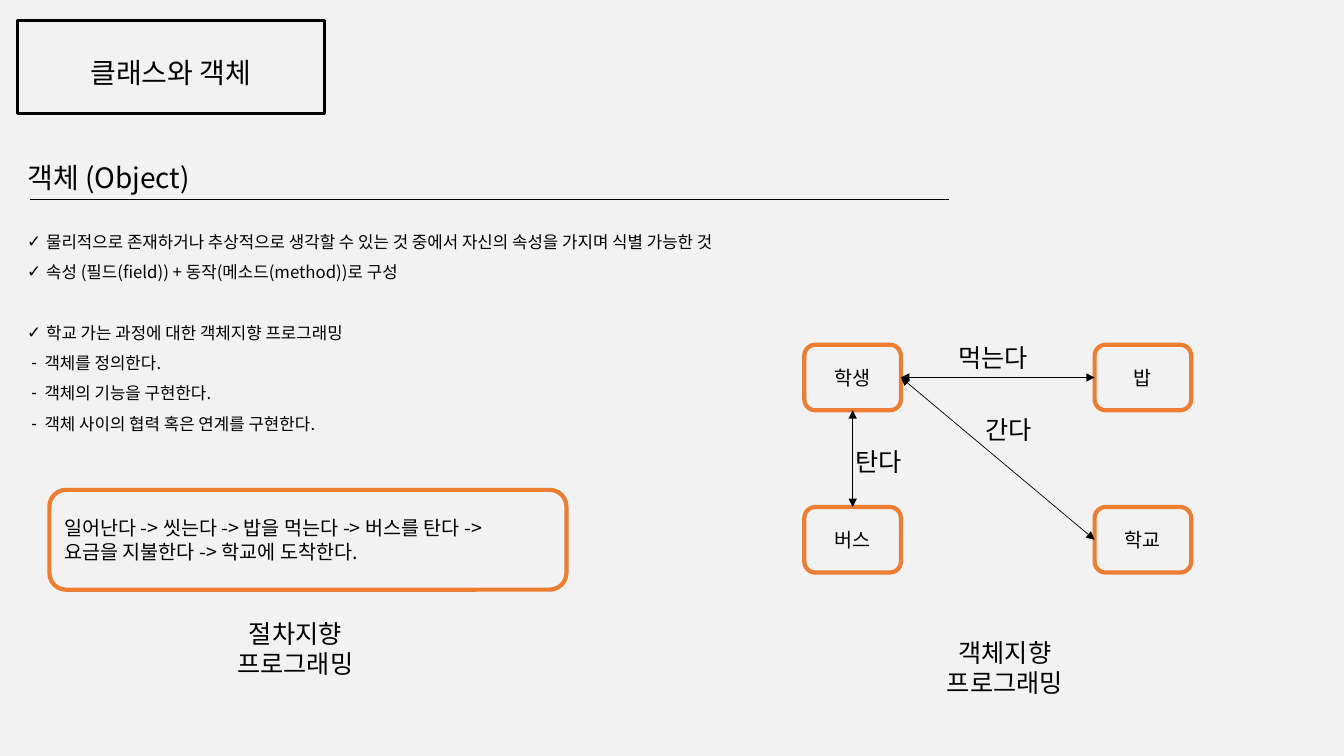
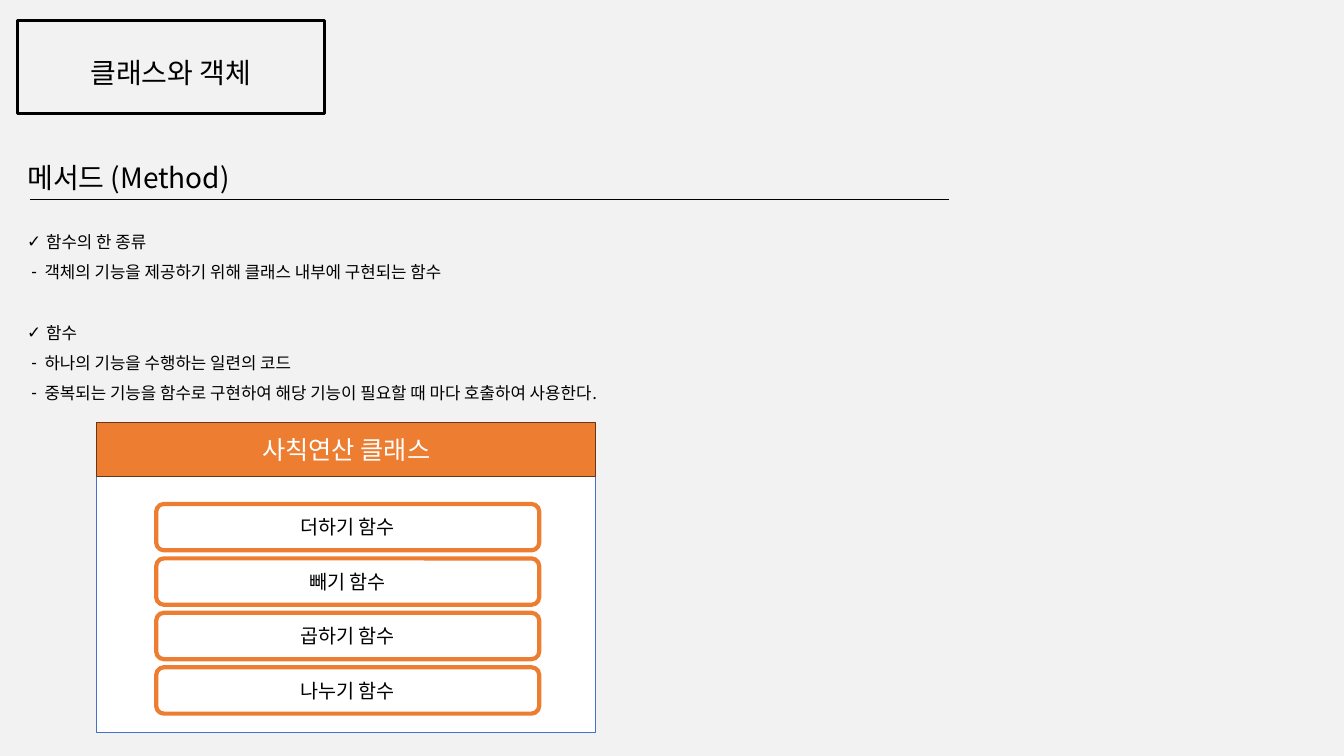
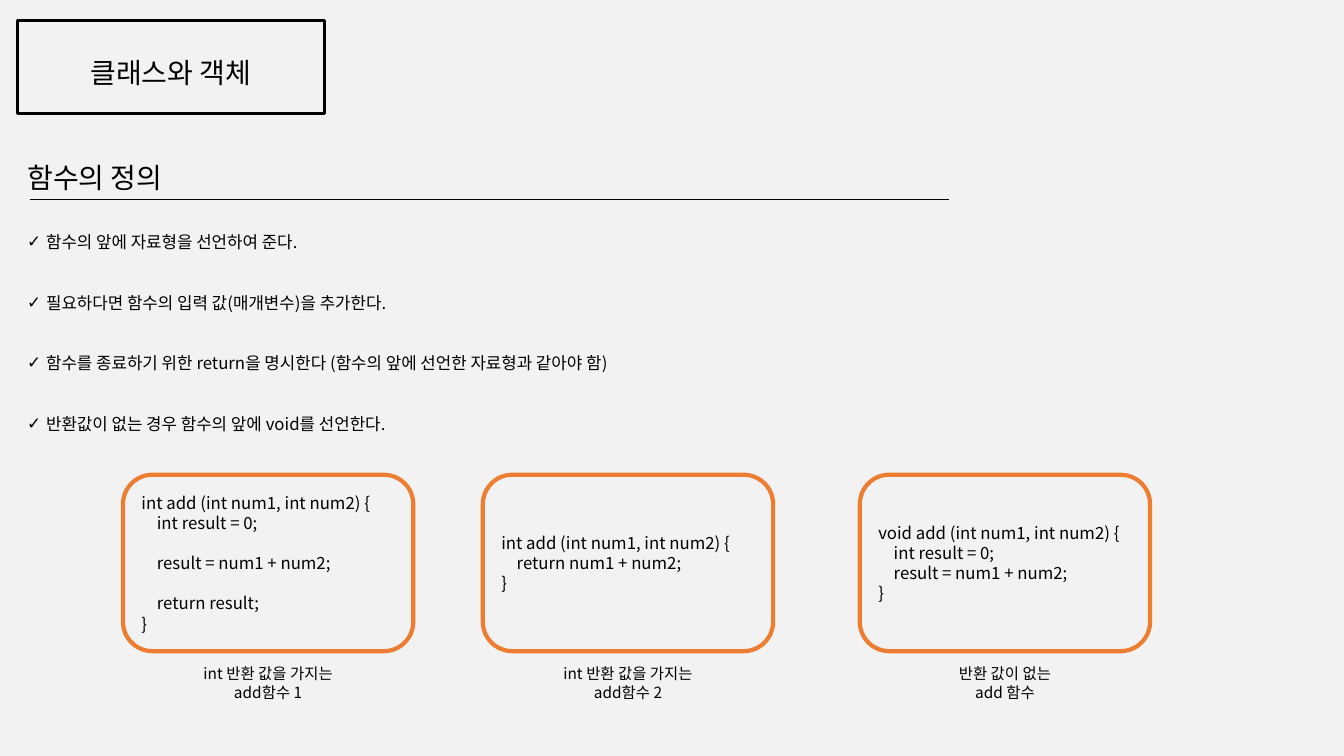
from dataclasses import dataclass
from pptx import Presentation
from pptx.dml.color import RGBColor as RGB
from pptx.enum.shapes import MSO_CONNECTOR as CONN, MSO_SHAPE as SHAPE
from pptx.enum.text import MSO_ANCHOR as ANCHOR, MSO_AUTO_SIZE as AUTO, PP_ALIGN as ALIGN
from pptx.oxml.ns import qn
from pptx.util import Pt
from lxml.etree import SubElement


@dataclass(frozen=True)
class Theme:
    font: str = "Noto Sans CJK KR"
    ink: str = "000000"
    paper: str = "F2F2F2"
    white: str = "FFFFFF"
    accent: str = "ED7D31"
    accent_dark: str = "683715"
    blue: str = "4472C4"
    heading: int = 20
    label: int = 18
    node: int = 14
    body: int = 12
    caption: int = 11
    leading: float = 1.2


class Deck:
    SECTION = "클래스와 객체"

    def __init__(self, theme):
        self.t = theme
        self.prs = Presentation()
        self.prs.slide_width, self.prs.slide_height = Pt(960), Pt(540)
        fill = self.prs.slide_master.background.fill
        fill.solid()
        fill.fore_color.rgb = RGB.from_string(theme.paper)
        self.s = None

    def slide(self, topic, items):
        self.s = self.prs.slides.add_slide(self.prs.slide_layouts[1])
        title, body = self.s.placeholders
        self.place(title, 12.24, 110.88, 240.48, 31.68)
        self.set_text(title.text_frame, [topic], self.t.heading, anchor=ANCHOR.TOP)
        self.place(body, 12.24, 154.8, 680.4, 180)
        self.bullets(body.text_frame, items)
        sp = self.box(12.24, 14.4, 219.6, 66.96, [self.SECTION], self.t.heading,
                      shape=SHAPE.RECTANGLE, line=self.t.ink, weight=2)
        sp.text_frame.margin_top, sp.text_frame.margin_bottom = Pt(12), Pt(4)
        self.line(21.6, 142.56, 678.24, 142.56, 1.25)

    def place(self, sp, x, y, w, h):
        sp.left, sp.top, sp.width, sp.height = Pt(x), Pt(y), Pt(w), Pt(h)

    def set_text(self, tf, lines, size, align=ALIGN.LEFT, anchor=ANCHOR.MIDDLE,
                 color=None, spacing=1):
        tf.word_wrap = True
        tf.auto_size = AUTO.NONE
        tf.vertical_anchor = anchor
        tf.text = "\n".join(text.strip() for text in lines if text)
        gap = 0
        paragraphs = iter(tf.paragraphs)
        for text in lines:
            if not text:
                gap += size * self.t.leading * spacing
                continue
            p = next(paragraphs)
            p.alignment = align
            p.line_spacing = spacing
            p.space_before, p.space_after = Pt(gap), Pt(0)
            gap = 0
            if text.startswith(" "):
                p._p.get_or_add_pPr().set("marL", str(Pt(11)))
            for r in p.runs:
                r.font.size = Pt(size)
                r.font.name = self.t.font
                r.font.color.rgb = RGB.from_string(color or self.t.ink)
                SubElement(r._r.rPr, qn("a:ea"), typeface=self.t.font)

    def bullets(self, tf, items):
        self.set_text(tf, [text.removeprefix("- ") for text in items], self.t.body,
                      ALIGN.JUSTIFY, ANCHOR.TOP, spacing=1.5)
        for text, p in zip(filter(None, items), tf.paragraphs):
            char, margin, hang = ("-", 12.4, 9.4) if text.startswith("- ") else ("✓", 13.5, 13.5)
            pPr = p._p.get_or_add_pPr()
            pPr.set("marL", str(Pt(margin)))
            pPr.set("indent", str(Pt(-hang)))
            SubElement(pPr, qn("a:buChar"), char=char)

    def text(self, x, y, w, h, lines, size, align=ALIGN.LEFT):
        sp = self.s.shapes.add_textbox(Pt(x), Pt(y), Pt(w), Pt(h))
        self.set_text(sp.text_frame, lines, size, align, ANCHOR.TOP)

    def box(self, x, y, w, h, lines=(), size=None, align=ALIGN.CENTER, color=None,
            shape=SHAPE.ROUNDED_RECTANGLE, fill=None, line=None, weight=3):
        sp = self.s.shapes.add_shape(shape, Pt(x), Pt(y), Pt(w), Pt(h))
        sp.shadow.inherit = False
        if fill:
            sp.fill.solid()
            sp.fill.fore_color.rgb = RGB.from_string(fill)
        else:
            sp.fill.background()
        sp.line.color.rgb = RGB.from_string(line or self.t.accent)
        sp.line.width = Pt(weight)
        if lines:
            self.set_text(sp.text_frame, lines, size or self.t.node, align, color=color)
        return sp

    def line(self, x1, y1, x2, y2, weight):
        c = self.s.shapes.add_connector(CONN.STRAIGHT, Pt(x1), Pt(y1), Pt(x2), Pt(y2))
        c.line.color.rgb = RGB.from_string(self.t.ink)
        c.line.width = Pt(weight)
        SubElement(c._element.spPr, qn("a:effectLst"))
        return c

    def link(self, a, a_side, b, b_side):
        c = self.line(0, 0, 0, 0, 0.5)
        c.begin_connect(a, a_side)
        c.end_connect(b, b_side)
        ln = c._element.spPr.find(qn("a:ln"))
        for end in ("a:headEnd", "a:tailEnd"):
            SubElement(ln, qn(end), type="triangle")


def object_slide(d):
    d.slide("객체 (Object)", [
        "물리적으로 존재하거나 추상적으로 생각할 수 있는 것 중에서 자신의 속성을 가지며 식별 가능한 것",
        "속성 (필드(field)) + 동작(메소드(method))로 구성",
        "",
        "학교 가는 과정에 대한 객체지향 프로그래밍",
        "- 객체를 정의한다.",
        "- 객체의 기능을 구현한다.",
        "- 객체 사이의 협력 혹은 연계를 구현한다.",
    ])
    student, rice, bus, school = [
        d.box(574.56 + 207.36 * (i % 2), 246.24 + 115.92 * (i // 2), 69, 46.8, [name])
        for i, name in enumerate(["학생", "밥", "버스", "학교"])]
    d.link(student, 3, school, 1)
    d.link(student, 3, rice, 1)
    d.link(student, 2, bus, 0)
    for x, y, w, verb in [(677.52, 241.2, 85, "먹는다"), (696.96, 292.32, 50.4, "간다"),
                          (604.08, 315.36, 50.4, "탄다")]:
        d.text(x, y, w, 28.8, [verb], d.t.label)
    d.box(35.28, 349.92, 369.36, 71.28,
          ["일어난다 -> 씻는다 -> 밥을 먹는다 -> 버스를 탄다 ->",
           "요금을 지불한다 -> 학교에 도착한다."], align=ALIGN.LEFT)
    for x, y, w, style in [(86.4, 437.76, 249.12, "절차지향"), (660.96, 451.44, 113.76, "객체지향")]:
        d.text(x, y, w, 51.12, [style, "프로그래밍"], d.t.label, ALIGN.CENTER)


def method_slide(d):
    d.slide("메서드 (Method)", [
        "함수의 한 종류",
        "- 객체의 기능을 제공하기 위해 클래스 내부에 구현되는 함수",
        "",
        "함수",
        "- 하나의 기능을 수행하는 일련의 코드",
        "- 중복되는 기능을 함수로 구현하여 해당 기능이 필요할 때 마다 호출하여 사용한다.",
    ])
    x, y, w, header = 69.12, 301.68, 356.4, 38.88
    d.box(x, y + header, w, 182.88, shape=SHAPE.RECTANGLE, fill=d.t.white,
          line=d.t.blue, weight=1)
    d.box(x, y, w, header, ["사칙연산 클래스"], d.t.label, color=d.t.white,
          shape=SHAPE.RECTANGLE, fill=d.t.accent, line=d.t.accent_dark, weight=1)
    for i, name in enumerate(["더하기", "빼기", "곱하기", "나누기"]):
        d.box(111.6, 360 + 38.88 * i, 273.6, 33.12, [f"{name} 함수"], fill=d.t.white)


def definition_slide(d):
    d.slide("함수의 정의", [
        "함수의 앞에 자료형을 선언하여 준다.",
        "",
        "필요하다면 함수의 입력 값(매개변수)을 추가한다.",
        "",
        "함수를 종료하기 위한 return을 명시한다 (함수의 앞에 선언한 자료형과 같아야 함)",
        "",
        "반환값이 없는 경우 함수의 앞에 void를 선언한다.",
    ])
    declare, add = " int result = 0;", " result = num1 + num2;"
    examples = [
        (87.84, "int", [declare, "", add, "", " return result;"],
         ["int 반환 값을 가지는", "add함수 1"]),
        (344.88, "int", [" return num1 + num2;"], ["int 반환 값을 가지는", "add함수 2"]),
        (614.16, "void", [declare, add], ["반환 값이 없는", "add 함수"]),
    ]
    for x, kind, code, caption in examples:
        d.box(x, 339.12, 207.36, 126, [f"{kind} add (int num1, int num2) {{", *code, "}"],
              d.t.body, ALIGN.LEFT)
        d.text(x, 470.88, 207.36, 33.84, caption, d.t.caption, ALIGN.CENTER)


def main():
    d = Deck(Theme())
    object_slide(d)
    method_slide(d)
    definition_slide(d)
    d.prs.save("out.pptx")


if __name__ == "__main__":
    main()
